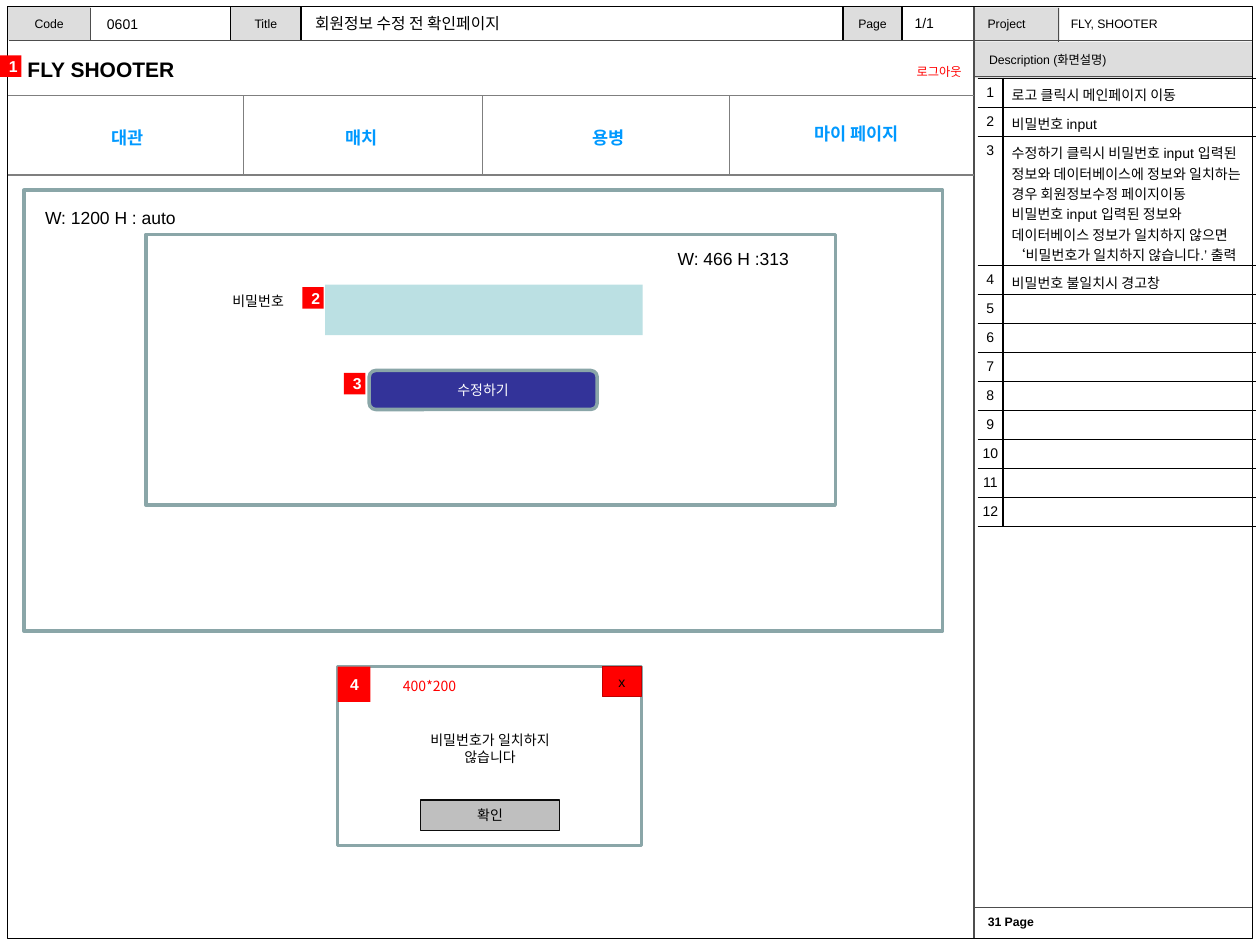
from lxml.etree import SubElement
from pptx import Presentation
from pptx.dml.color import RGBColor
from pptx.enum.shapes import MSO_CONNECTOR, MSO_SHAPE
from pptx.enum.text import MSO_ANCHOR, MSO_AUTO_SIZE, PP_ALIGN
from pptx.oxml.ns import qn
from pptx.util import Inches, Pt

COLORS = {
    "black": "000000", "white": "FFFFFF", "red": "FF0000", "dark red": "C00000",
    "header": "DDDDDD", "rule": "4D4D4D", "menu rule": "7F7F7F", "menu": "0099FF",
    "frame": "8AA6A8", "input": "BBE0E3", "button": "333399",
    "confirm": "BFBFBF", "confirm line": "0D0D0D",
}
KOREAN_FONT = "Noto Sans CJK KR"
LEFT, CENTER, RIGHT = PP_ALIGN.LEFT, PP_ALIGN.CENTER, PP_ALIGN.RIGHT
TOP, MIDDLE = MSO_ANCHOR.TOP, MSO_ANCHOR.MIDDLE

DESCRIPTIONS = [
    ["로고 클릭시 메인페이지 이동"],
    ["비밀번호 input"],
    [
        "수정하기 클릭시 비밀번호 input 입력된 정보와 데이터베이스에 정보와 일치하는 경우 회원정보수정 페이지이동",
        "비밀번호 input 입력된 정보와 데이터베이스 정보가 일치하지 않으면",
        "‘비밀번호가 일치하지 않습니다.’ 출력",
    ],
    ["비밀번호 불일치시 경고창"],
] + [[] for _ in range(8)]


def color(name):
    return RGBColor.from_string(COLORS[name])


def write(frame, *lines, size=8, ink="black", bold=False, align=LEFT, font="Arial"):
    for index, line in enumerate(lines):
        para = frame.add_paragraph() if index else frame.paragraphs[0]
        para.alignment = align
        para.space_before = Pt(0)
        span = para.add_run()
        span.text = line
        span.font.name = font
        span.font.size = Pt(size)
        span.font.bold = bold
        span.font.color.rgb = color(ink)


def set_borders(cell, sides):
    properties = cell._tc.get_or_add_tcPr()
    for position, side in enumerate(("L", "R", "T", "B")):
        line = properties.makeelement(qn(f"a:ln{side}"), {"w": str(Pt(0.75))})
        if side in sides:
            fill = SubElement(line, qn("a:solidFill"))
            SubElement(fill, qn("a:srgbClr"), val=COLORS["black"])
        else:
            SubElement(line, qn("a:noFill"))
        properties.insert(position, line)


class Wireframe:
    def __init__(self, deck):
        self.page = deck.slides.add_slide(deck.slide_layouts[5])

    def prepare(self, frame, anchor, inset=0.1):
        frame.word_wrap = True
        frame.auto_size = MSO_AUTO_SIZE.NONE
        frame.vertical_anchor = anchor
        frame.margin_left = frame.margin_right = Inches(inset)
        frame.margin_top = frame.margin_bottom = Inches(0.05)

    def title(self, text, at, **style):
        box = self.page.shapes.title
        box.left, box.top, box.width, box.height = map(Inches, at)
        self.prepare(box.text_frame, MIDDLE)
        write(box.text_frame, text, **style)

    def text(self, text, at, anchor=TOP, inset=0.1, **style):
        box = self.page.shapes.add_textbox(*map(Inches, at))
        self.prepare(box.text_frame, anchor, inset)
        write(box.text_frame, text, **style)

    def shape(self, at, fill=None, line=None, weight=0.75, text=None,
              kind=MSO_SHAPE.RECTANGLE, inset=0.1, **style):
        box = self.page.shapes.add_shape(kind, *map(Inches, at))
        box.shadow.inherit = False
        if fill:
            box.fill.solid()
            box.fill.fore_color.rgb = color(fill)
        else:
            box.fill.background()
        if line:
            box.line.color.rgb = color(line)
            box.line.width = Pt(weight)
        else:
            box.line.fill.background()
        if text:
            self.prepare(box.text_frame, MIDDLE, inset)
            write(box.text_frame, text, **style)

    def badge(self, number, left, top, width=0.17, height=0.17):
        self.shape((left, top, width, height), "red", text=number, size=9,
                   ink="white", bold=True, align=CENTER)

    def rule(self, start, end, ink="rule"):
        line = self.page.shapes.add_connector(
            MSO_CONNECTOR.STRAIGHT, *map(Inches, start + end))
        line.line.color.rgb = color(ink)
        line.line.width = Pt(0.75)
        SubElement(line._element.spPr, qn("a:effectLst"))

    def table(self, descriptions, at, widths, row_height, tall_row, tall_height):
        table = self.page.shapes.add_table(
            len(descriptions), 2, *map(Inches, at)).table
        table.first_row = table.horz_banding = False
        for column, width in zip(table.columns, widths):
            column.width = Inches(width)
        for index, lines in enumerate(descriptions):
            table.rows[index].height = Inches(
                tall_height if index == tall_row else row_height)
            number, detail = table.cell(index, 0), table.cell(index, 1)
            for cell, inset, sides in ((number, 0.02, "RTB"), (detail, 0.07, "LTB")):
                cell.fill.background()
                cell.margin_left = cell.margin_right = Inches(inset)
                cell.margin_top = Inches(0.05)
                cell.margin_bottom = Inches(0)
                set_borders(cell, sides)
            write(number.text_frame, str(index + 1), align=CENTER)
            write(detail.text_frame, *lines)
            if not lines:
                SubElement(detail.text_frame.paragraphs[0]._p,
                           qn("a:endParaRPr"), sz="800")


def main():
    deck = Presentation()
    deck.slide_width, deck.slide_height = Inches(10), Inches(7.5)
    screen = Wireframe(deck)

    screen.title("회원정보 수정 전 확인페이지", (2.4, 0.06, 4.25, 0.25), size=9)
    screen.shape((7.73, 0.33, 2.21, 0.29), "header", text="Description (화면설명)",
                 size=7, inset=0.12)
    for label, left, width, line in (("Page", 6.69, 0.47, "black"),
                                     ("Title", 1.83, 0.56, "black"),
                                     ("Code", 0.06, 0.66, None)):
        screen.shape((left, 0.05, width, 0.27), "header", line, text=label,
                     size=7, align=CENTER)
    screen.shape((7.73, 0.06, 0.68, 0.27), "header")
    screen.text("31 Page", (7.76, 7.21, 2.14, 0.24), inset=0.08, size=7, bold=True)
    screen.text("Project", (7.74, 0.08, 0.66, 0.24), size=7)
    screen.text("FLY, SHOOTER", (8.4, 0.08, 1.5, 0.24), size=7)
    screen.text("0601", (0.75, 0.06, 1.02, 0.26), anchor=MIDDLE)
    screen.text("1/1", (7.16, 0.05, 0.52, 0.26), anchor=MIDDLE)
    for left, top, bottom in ((7.73, 0.05, 7.45), (8.4, 0.06, 0.33), (0.72, 0.06, 0.32)):
        screen.rule((left, top), (left, bottom))
    for top, left in ((0.32, 0.07), (7.2, 7.74), (0.61, 7.74)):
        screen.rule((left, top), (9.94, top))
    screen.shape((0.06, 0.05, 9.88, 7.4), line="black")

    screen.text("FLY SHOOTER", (0.12, 0.4, 6.23, 0.3), anchor=MIDDLE, size=12, bold=True)
    screen.text("로그아웃", (6.65, 0.46, 1.08, 0.22), size=7, ink="red", align=RIGHT)
    for top in (0.76, 1.39):
        screen.rule((0.06, top), (7.73, top), "menu rule")
    for left in (1.93, 3.83, 5.79):
        screen.rule((left, 0.76), (left, 1.39), "menu rule")
    for label, left, top in (("대관", 0.08, 0.96), ("매치", 1.94, 0.96),
                             ("용병", 3.9, 0.96), ("마이 페이지", 5.87, 0.93)):
        screen.text(label, (left, top, 1.86, 0.27), size=10, ink="menu",
                    bold=True, align=CENTER)

    for frame in ((0.19, 1.51, 7.29, 3.5), (1.16, 1.86, 5.47, 2.15),
                  (2.68, 5.29, 2.41, 1.42)):
        screen.shape(frame, "white", "frame", weight=2)
    screen.text("W: 466 H :313", (5.28, 1.92, 1.18, 0.27), size=10)
    screen.text("W: 1200 H : auto", (0.26, 1.59, 1.26, 0.27), size=10)
    screen.text("비밀번호", (1.5, 2.27, 1.1, 0.24), align=CENTER)
    screen.shape((2.58, 2.26, 2.52, 0.4), "input")
    screen.shape((2.93, 2.94, 1.81, 0.31), "button", "frame", weight=2, text="수정하기",
                 kind=MSO_SHAPE.ROUNDED_RECTANGLE, ink="white", align=CENTER)

    screen.shape((4.78, 5.29, 0.31, 0.24), "red", "dark red", text="x", align=CENTER)
    screen.text("400*200", (3.1, 5.33, 0.63, 0.24), ink="red", font=KOREAN_FONT)
    screen.text("비밀번호가 일치하지 않습니다", (3.28, 5.76, 1.22, 0.37), align=CENTER)
    screen.shape((3.34, 6.35, 1.1, 0.24), "confirm", "confirm line", text="확인",
                 align=CENTER)

    screen.badge("1", 0, 0.44)
    screen.badge("2", 2.4, 2.28)
    screen.badge("3", 2.73, 2.96)
    screen.badge("4", 2.68, 5.29, 0.26, 0.28)
    screen.table(DESCRIPTIONS, (7.76, 0.62, 2.21, 3.56), (0.2, 2.01),
                 row_height=0.23, tall_row=2, tall_height=1.03)
    deck.save("out.pptx")


if __name__ == "__main__":
    main()
